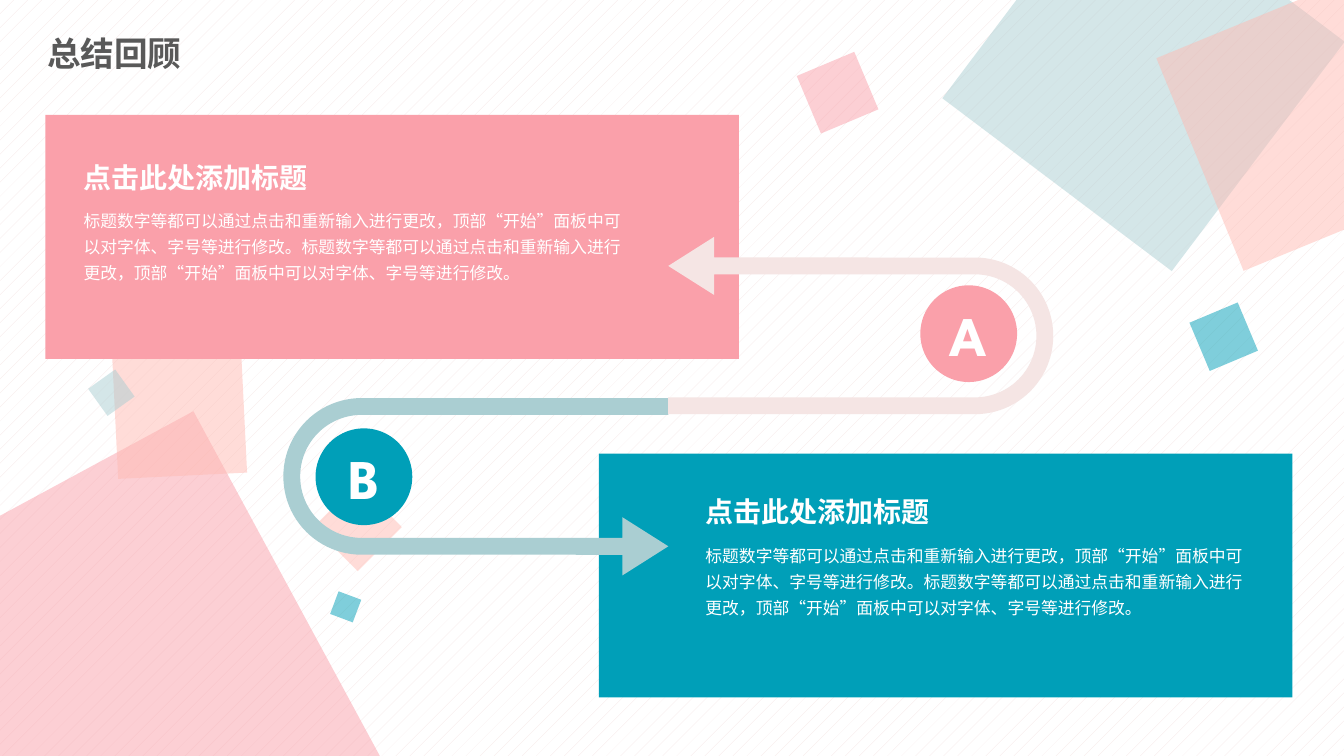
"""Build a review slide with two cards joined by U-turn arrows."""
from lxml import etree
from pptx import Presentation
from pptx import util as u
from pptx.dml.color import RGBColor
from pptx.enum import dml, shapes, text
from pptx.oxml.ns import qn

TEAL = RGBColor(0x00, 0x9F, 0xB8)
PALE_TEAL = RGBColor(0xAA, 0xCE, 0xD2)
PINK = RGBColor(0xFA, 0xA0, 0xAA)
PALE_PINK = RGBColor(0xF5, 0xE5, 0xE4)
PEACH = RGBColor(0xFF, 0xBB, 0xB3)
GREY = RGBColor(0x59, 0x59, 0x59)
WHITE = RGBColor(0xFF, 0xFF, 0xFF)

CJK_FONT = "Noto Sans CJK SC"
HEADING_FONT = "League Spartan"
HEADING = "点击此处添加标题"
SENTENCE = "标题数字等都可以通过点击和重新输入进行更改，顶部“开始”面板中可以对字体、字号等进行修改。"
HEADING_HEIGHT = 38.9

# left, top, side, rotation, colour
SQUARES = [
    (-67, 345.6, 292.3, 331.6, PINK),
    (82.1, 247.7, 92.2, 357.2, PEACH),
    (233.3, 354.2, 44.6, 315, PEACH),
    (67.7, 268.6, 23.8, 324.4, PALE_TEAL),
    (714.2, -52.6, 205.2, 37, PALE_TEAL),
    (851, 4.3, 164.2, 337.7, PEACH),
    (576, 43.9, 44.6, 337.2, PINK),
    (855.4, 221.8, 37.4, 337.2, TEAL),
    (238.3, 424.8, 17.3, 290.5, TEAL),
]


def add_block(slide, kind, left, top, width, height, color, rotation=0):
    """Add a flat preset shape without outline."""
    sp = slide.shapes.add_shape(kind, u.Pt(left), u.Pt(top), u.Pt(width), u.Pt(height))
    sp.shadow.inherit = False
    sp.fill.solid()
    sp.fill.fore_color.rgb = color
    sp.line.fill.background()
    sp.rotation = rotation
    return sp


def add_square(slide, left, top, side, rotation, color):
    """Add a half-transparent decorative square."""
    sp = add_block(slide, shapes.MSO_SHAPE.RECTANGLE, left, top, side, side, color, rotation)
    clr = sp.element.spPr.find(f"{qn('a:solidFill')}/{qn('a:srgbClr')}")
    etree.SubElement(clr, qn("a:alpha"), val="50000")


def add_uturn(slide, left, top, color, rotation):
    """Add a mirrored U-turn arrow."""
    sp = add_block(slide, shapes.MSO_SHAPE.U_TURN_ARROW, left, top, 126.7, 275, color, rotation)
    for i, value in enumerate((0.095, 0.164, 0.259, 0.441, 1)):
        sp.adjustments[i] = value
    sp.element.spPr.find(qn("a:xfrm")).set("flipH", "1")


def write(tf, content, size, color, font=CJK_FONT, bold=False):
    """Fill a text frame with one styled paragraph and return it."""
    p = tf.paragraphs[0]
    p.text = content
    p.font.size = u.Pt(size)
    p.font.bold = bold
    p.font.name = font
    p.font.color.rgb = color
    latin = p.font.color and tf.paragraphs[0]._p.pPr.find(f"{qn('a:defRPr')}/{qn('a:latin')}")
    latin.addnext(etree.Element(qn("a:ea"), typeface=CJK_FONT))
    return p


def add_text(slide, left, top, width, height, content, size, color=WHITE,
             font=CJK_FONT, bold=False, spacing=1.3):
    """Add a wrapping text box and return its frame and paragraph."""
    tf = slide.shapes.add_textbox(u.Pt(left), u.Pt(top), u.Pt(width), u.Pt(height)).text_frame
    tf.word_wrap = True
    p = write(tf, content, size, color, font, bold)
    p.line_spacing = spacing
    return tf, p


def add_badge(slide, left, top, letter, color):
    """Add a lettered circle."""
    sp = add_block(slide, shapes.MSO_SHAPE.OVAL, left, top, 69.1, 69.1, color)
    sp.text_frame.vertical_anchor = text.MSO_ANCHOR.MIDDLE
    p = write(sp.text_frame, letter, 40, WHITE, HEADING_FONT, True)
    p.alignment = text.PP_ALIGN.CENTER


def add_card(slide, left, top, color, text_left, text_top):
    """Add a coloured card with its heading and body text."""
    add_block(slide, shapes.MSO_SHAPE.RECTANGLE, left, top, 495.4, 174.2, color)
    add_text(slide, text_left, text_top, 226.8, HEADING_HEIGHT, HEADING, 20,
             font=HEADING_FONT, bold=True)
    add_text(slide, text_left, text_top + HEADING_HEIGHT, 403.9, 64.1, SENTENCE * 2, 12)


def add_title(slide, content):
    """Add the slide title."""
    tf, p = add_text(slide, 26.6, 18.7, 441.4, 41.8, content, 24, GREY, bold=True, spacing=0.9)
    tf.vertical_anchor = text.MSO_ANCHOR.MIDDLE
    p.space_before = u.Pt(10)


def set_background(slide):
    """Give the slide a faint dotted background."""
    fill = slide.background.fill
    fill.patterned()
    fill.pattern = dml.MSO_PATTERN.PERCENT_5
    fill.fore_color.rgb = PALE_PINK
    fill.back_color.rgb = WHITE


def main():
    """Build and save the slide."""
    prs = Presentation()
    prs.slide_width, prs.slide_height = u.Pt(960), u.Pt(540)
    slide = prs.slides.add_slide(prs.slide_layouts[6])
    set_background(slide)
    for square in SQUARES:
        add_square(slide, *square)
    add_title(slide, "总结回顾")
    add_card(slide, 32.4, 82.1, PINK, 52.6, 103.7)
    add_card(slide, 427.7, 324, TEAL, 496.8, 342.7)
    add_uturn(slide, 276.5, 210.2, PALE_TEAL, 270)
    add_uturn(slide, 551.5, 95, PALE_PINK, 90)
    add_badge(slide, 657.4, 203.8, "A", PINK)
    add_badge(slide, 225.4, 306, "B", TEAL)
    prs.save("out.pptx")


if __name__ == "__main__":
    main()
